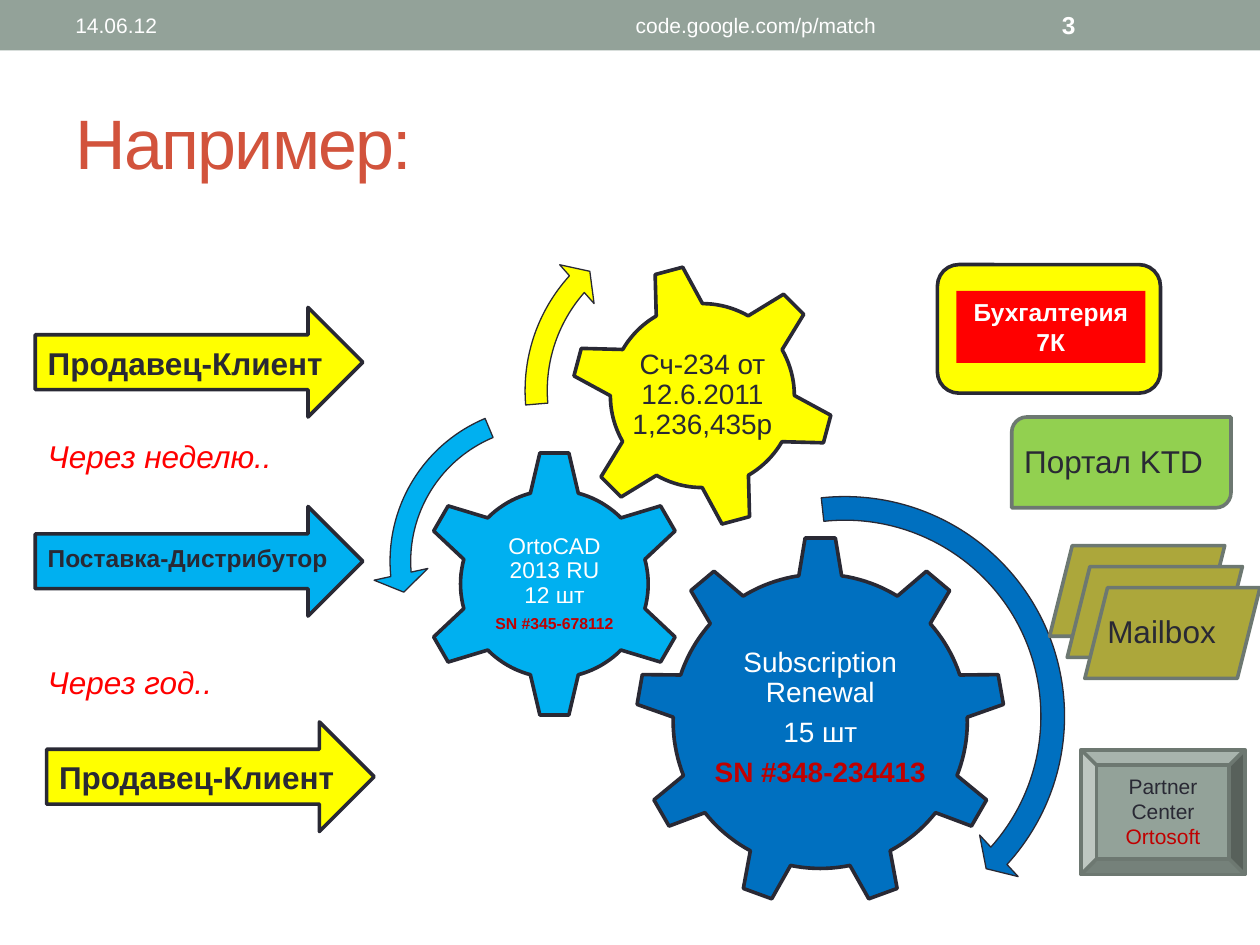
from math import atan2, cos, hypot, pi, radians, sin

from pptx import Presentation
from pptx.dml.color import RGBColor
from pptx.enum.shapes import MSO_SHAPE as KIND
from pptx.enum.text import MSO_ANCHOR, PP_ALIGN
from pptx.util import Inches, Pt

MID, TOP = MSO_ANCHOR.MIDDLE, MSO_ANCHOR.TOP
LEFT, CENTER = PP_ALIGN.LEFT, PP_ALIGN.CENTER
COLS = 100

DARK, WHITE, RED, WINE = "292934", "FFFFFF", "FF0000", "C00000"
YELLOW, SKY, BLUE, LIME = "FFFF00", "00B0F0", "0070C0", "92D050"
SAGE, MOSS, OLIVE, RUST = "93A299", "6D7871", "ACA73B", "D2533C"


def hue(code):
    return RGBColor.from_string(code)


def style(size, color=DARK, **more):
    return dict(size=Pt(size), color=color, name="Arial", **more)


class Board:
    """Current slide on a grid of square cells, COLS across, with its style."""

    def __init__(self, deck):
        self.slide = deck.slides.add_slide(deck.slide_layouts[5])
        self.shapes = self.slide.shapes
        self.cell = deck.slide_width / COLS

    def span(self, *cells):
        return [round(c * self.cell) for c in cells]

    def paint(self, shape, fill, line=None, width=2.08):
        shape.shadow.inherit = False
        shape.fill.solid()
        shape.fill.fore_color.rgb = hue(fill)
        if line:
            shape.line.color.rgb = hue(line)
            shape.line.width = Pt(width)
        else:
            shape.line.fill.background()
        return shape

    def form(self, kind, box, fill, line=None, width=2.08, adj=()):
        shape = self.paint(self.shapes.add_shape(kind, *self.span(*box)), fill, line, width)
        for i, val in enumerate(adj):
            shape.adjustments[i] = val
        return shape

    def put(self, frame, paras, align=LEFT, anchor=TOP, **layout):
        """Each paragraph is a list of (words, style) runs."""
        frame.word_wrap = True
        frame.vertical_anchor = anchor
        for i, runs in enumerate(paras):
            para = frame.paragraphs[0] if i == 0 else frame.add_paragraph()
            for key, val in dict(layout, alignment=align).items():
                setattr(para, key, val)
            for words, look in runs:
                for n, part in enumerate(words.split("\n")):
                    if n:
                        para.add_line_break()
                    run = para.add_run()
                    run.text = part
                    for key, val in look.items():
                        if key == "color":
                            run.font.color.rgb = hue(val)
                        else:
                            setattr(run.font, key, val)

    def label(self, box, runs, **more):
        frame = self.shapes.add_textbox(*self.span(*box)).text_frame
        self.put(frame, [runs], **more)

    def title(self, box, words, look):
        shape = self.shapes.title
        shape.left, shape.top, shape.width, shape.height = self.span(*box)
        self.put(shape.text_frame, [[(words, look)]], anchor=MID)
        for run in shape.text_frame.paragraphs[0].runs:
            run._r.get_or_add_rPr().set("spc", "-100")

    def arrow(self, x, y, fill, words, size, tall):
        self.form(KIND.RIGHT_ARROW, (x, y, 26, 8.7), fill, DARK)
        self.label((x, y + 2.4, 25.2, tall), [(words, style(size, bold=True))])

    def gear(self, mid, teeth, tip, base, fill, room, paras, gap, turn=0):
        """tip and base are (half width, distance from the centre) of a tooth."""
        rim, edge = hypot(*base), atan2(*base)
        step, points = 2 * pi / teeth, []
        for n in range(teeth):
            axis = radians(turn) + n * step
            for half, reach in ((-tip[0], tip[1]), tip):
                points.append((axis + atan2(half, reach), hypot(half, reach)))
            arc = step - 2 * edge
            points += [(axis + edge + arc * k / 10, rim) for k in range(11)]
        spots = [self.span(mid[0] + r * sin(a), mid[1] - r * cos(a)) for a, r in points]
        pen = self.shapes.build_freeform(*spots[0])
        pen.add_line_segments(spots[1:], close=True)
        shape = self.paint(pen.convert_to_shape(), fill, DARK)
        frame = shape.text_frame
        wide, high = self.span(*room)
        frame.margin_left = frame.margin_right = (shape.width - wide) // 2
        frame.margin_top = frame.margin_bottom = (shape.height - high) // 2
        self.put(frame, paras, CENTER, MID, line_spacing=0.9, space_after=Pt(gap))


def main():
    deck = Presentation()
    deck.slide_width, deck.slide_height = Inches(10), Inches(7.5)
    board = Board(deck)

    # Header band and title
    board.form(KIND.RECTANGLE, (0, 0, COLS, 4), SAGE)
    board.title((5, 5.8, 90, 10.8), "Например:", style(40, RUST))
    small = style(12, WHITE)
    for x, wide, words, look, align in (
        (5, 31.7, "14.06.12", small, LEFT),
        (37.5, 45, "code.google.com/p/match", small, CENTER),
        (83.3, 11.7, "3", style(14, WHITE, bold=True), LEFT),
    ):
        board.label((x, 0.2, wide, 3.6), [(words, look)], align=align, anchor=MID)

    # Accounting block
    board.form(KIND.ROUNDED_RECTANGLE, (74.4, 21, 17.7, 10.2), YELLOW, DARK)
    core = board.form(KIND.RECTANGLE, (75.9, 23.1, 15, 5.7), RED)
    board.put(core.text_frame, [[("Бухгалтерия 7К", style(14, WHITE, bold=True))]], CENTER)

    # Gears
    plain = style(16, WHITE)
    board.gear((65.1, 57.25), 9, (1.2, 14.55), (1.7, 11.55), BLUE, (17.3, 14.6), [
        [("Subscription Renewal", plain)],
        [("15 шт", plain)],
        [("SN #348-234413", style(16, WINE, bold=True))],
    ], 5.6)
    board.gear((44, 46.35), 6, (1.15, 10.4), (1.9, 7.2), SKY, (10.1, 10.1), [
        [("OrtoCAD 2013 RU\n12 шт", style(13, WHITE))],
        [("SN #345-678112", style(9, WINE, bold=True))],
    ], 4.5)
    board.gear((55.75, 31.4), 6, (1.13, 10.25), (1.9, 7.05), YELLOW, (11.5, 11.2), [
        [("Сч-234 от 12.6.2011 1,236,435р", style(16))],
    ], 5.6, turn=-15)

    # Turning arrows
    for kind, x, y, size, fill, adj in (
        (KIND.CIRCULAR_ARROW, 48.3, 38.1, 37.5, BLUE, (0.05, 2.99, 25.3, 158.31, 0.06)),
        (KIND.LEFT_CIRCULAR_ARROW, 29.6, 30.9, 27.3, SKY,
         (0.06, 4.3, 104.89, 148.38, 0.08)),
        (KIND.CIRCULAR_ARROW, 40.5, 16.3, 29.4, YELLOW,
         (0.06, 3.94, 133.14, 105.08, 0.07)),
    ):
        board.form(kind, (x, y, size, size), fill, DARK, 0.75, adj)

    # Deal steps and the waits between them
    for x, y, fill, words, size, tall in (
        (2.8, 24.4, YELLOW, "Продавец-Клиент", 18, 4),
        (2.8, 40.2, SKY, "Поставка-Дистрибутор", 14, 3.4),
        (3.7, 57.3, YELLOW, "Продавец-Клиент", 18, 4),
    ):
        board.arrow(x, y, fill, words, size, tall)
    for y, words in ((34.2, "Через неделю.."), (52.1, "Через год..")):
        board.label((2.8, y, 25.2, 4), [(words, style(18, RED, italic=True))])

    # Outside systems
    board.form(KIND.ROUND_2_DIAG_RECTANGLE, (80.3, 33.1, 17.4, 7.2), LIME, MOSS)
    board.label((80.3, 34.6, 17.5, 4), [("Портал KTD", style(18))])
    for n in range(3):
        board.form(KIND.PARALLELOGRAM, (83.3 + 1.4 * n, 43.3 + 1.67 * n, 13.9, 7.2),
                   OLIVE, MOSS)
    board.label((86.9, 48.1, 11.7, 4), [("Mailbox", style(18))])
    board.form(KIND.BEVEL, (85.8, 59.5, 13, 9.9), SAGE, MOSS)
    board.label((86.9, 60.9, 10.8, 7.1),
                [("Partner\nCenter ", style(12)), ("Ortosoft", style(12, WINE))],
                align=CENTER)

    deck.save("out.pptx")


if __name__ == "__main__":
    main()
